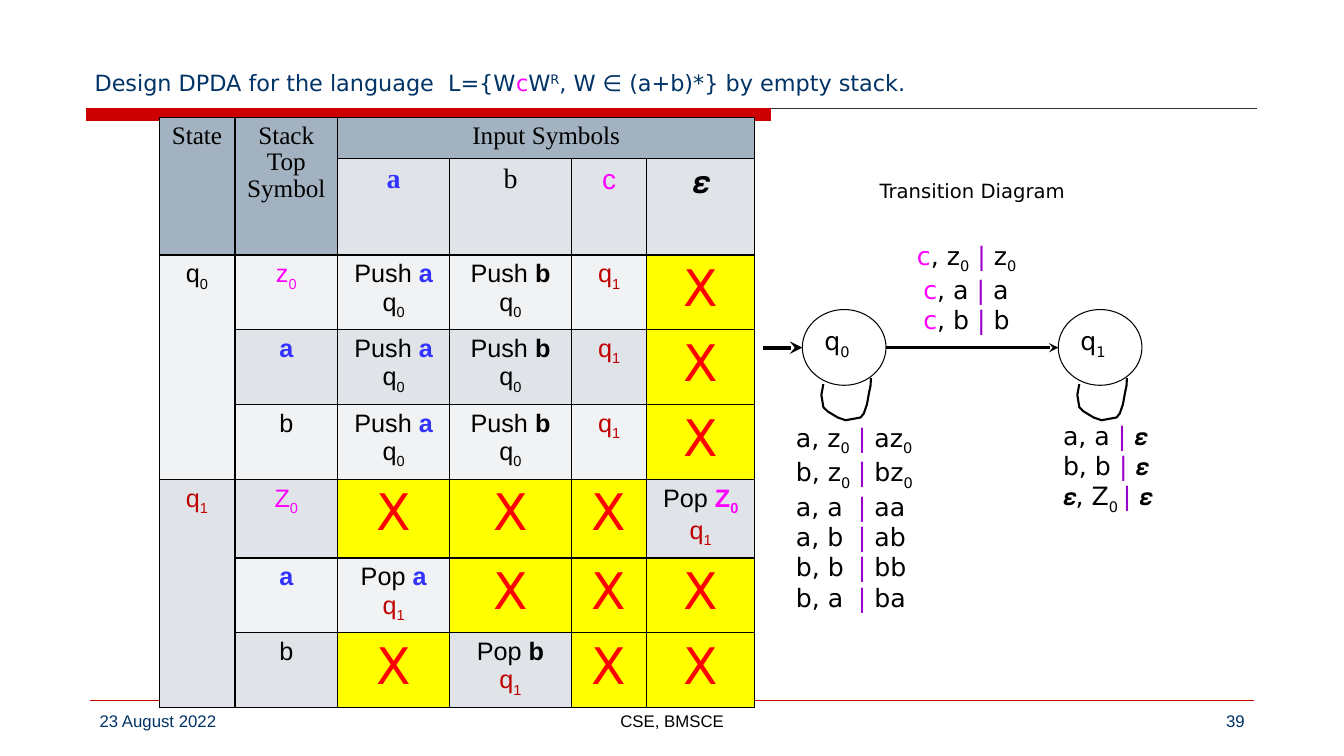
from lxml.etree import SubElement
from pptx import Presentation
from pptx.dml.color import RGBColor
from pptx.enum.shapes import MSO_CONNECTOR, MSO_SHAPE
from pptx.enum.text import MSO_ANCHOR, MSO_AUTO_SIZE, PP_ALIGN
from pptx.oxml.ns import qn
from pptx.util import Cm, Pt

SANS, ARIAL, SERIF = "DejaVu Sans", "Arial", "Times New Roman"
BLACK, NAVY, RED, PINK = "000000", "003366", "CC0000", "FF00FF"
BLUE, CRIMSON, PURPLE, CROSS_RED = "3333FF", "C00000", "9900CC", "FF0000"
HEADER, DARK_BAND, LIGHT_BAND, YELLOW = "A3B2C1", "E0E4E9", "F0F2F4", "FFFF00"


def rgb(value):
    return RGBColor.from_string(value)


def text(words, **style):
    """Pair words with their format: font, size, color, bold, shift (percent)."""
    return words, style


def indexed(letter, index, **style):
    """Letter followed by a subscript."""
    return [text(letter, **style), text(index, shift=-25, **style)]


class SlideBuilder:
    def __init__(self, slide, font=SANS, size=18, color=BLACK):
        self.slide = slide
        self.style = dict(font=font, size=size, color=color, bold=False, shift=0)

    def fill_text(self, frame, paragraphs, align=PP_ALIGN.LEFT, tab=None, spacing=None, **style):
        frame.word_wrap = True
        for number, runs in enumerate(paragraphs):
            paragraph = frame.paragraphs[0] if number == 0 else frame.add_paragraph()
            paragraph.alignment = align
            if spacing:
                paragraph.line_spacing = spacing
            if tab:
                stops = SubElement(paragraph._p.get_or_add_pPr(), qn("a:tabLst"))
                SubElement(stops, qn("a:tab"), pos=str(Cm(tab)), algn="l")
            for words, own in runs:
                look = {**self.style, **style, **own}
                run = paragraph.add_run()
                run.text = words
                run.font.name, run.font.size = look["font"], Pt(look["size"])
                run.font.bold = look["bold"]
                run.font.color.rgb = rgb(look["color"])
                if look["shift"]:
                    run.font._element.set("baseline", str(look["shift"] * 1000))

    def title(self, left, top, width, height, runs, **style):
        title = self.slide.shapes.title
        title.left, title.top, title.width, title.height = map(Cm, (left, top, width, height))
        title.text_frame.vertical_anchor = MSO_ANCHOR.BOTTOM
        title.text_frame.auto_size = MSO_AUTO_SIZE.NONE
        self.fill_text(title.text_frame, [runs], **style)

    def label(self, left, top, width, height, paragraphs, **style):
        box = self.slide.shapes.add_textbox(*map(Cm, (left, top, width, height)))
        self.fill_text(box.text_frame, paragraphs, **style)

    def shape(self, kind, left, top, width, height, line, fill=None):
        shape = self.slide.shapes.add_shape(kind, *map(Cm, (left, top, width, height)))
        self.outline(shape, line, 0.75, fill)
        return shape

    def outline(self, shape, line, weight, fill=None):
        shape.shadow.inherit = False
        shape.line.color.rgb, shape.line.width = rgb(line), Pt(weight)
        if fill:
            shape.fill.solid()
            shape.fill.fore_color.rgb = rgb(fill)
        else:
            shape.fill.background()

    def line(self, start, end, y, color, weight=0.75, arrow=False):
        line = self.slide.shapes.add_connector(
            MSO_CONNECTOR.STRAIGHT, Cm(start), Cm(y), Cm(end), Cm(y))
        line.line.color.rgb, line.line.width = rgb(color), Pt(weight)
        if arrow:
            SubElement(line.line._get_or_add_ln(), qn("a:tailEnd"), type="stealth")
        SubElement(line._element.spPr, qn("a:effectLst"))

    def outline_path(self, left, top, points, weight):
        corners = [(Cm(left + x), Cm(top + y)) for x, y in points]
        builder = self.slide.shapes.build_freeform(*corners[0])
        builder.add_line_segments(corners[1:], close=False)
        self.outline(builder.convert_to_shape(), BLACK, weight)

    def table(self, left, top, widths, heights):
        table = self.slide.shapes.add_table(
            len(heights), len(widths), Cm(left), Cm(top),
            Cm(sum(widths)), Cm(sum(heights))).table
        table.first_row = table.horz_banding = False
        for column, width in zip(table.columns, widths):
            column.width = Cm(width)
        for row, height in zip(table.rows, heights):
            row.height = Cm(height)
        for cell in table.iter_cells():
            properties = cell._tc.get_or_add_tcPr()
            for side in ("a:lnL", "a:lnR", "a:lnT", "a:lnB"):
                border = SubElement(properties, qn(side), w=str(Pt(1)))
                SubElement(SubElement(border, qn("a:solidFill")), qn("a:srgbClr"), val=BLACK)
        return table

    def cell(self, cell, paragraphs, fill, **style):
        cell.fill.solid()
        cell.fill.fore_color.rgb = rgb(fill)
        self.fill_text(cell.text_frame, paragraphs, align=PP_ALIGN.CENTER, **style)


EPSILON = text("𝞮", font=SERIF)
BAR = text("|", color=PURPLE)
BOLD_A, BOLD_B = text("a", color=BLUE, bold=True), text("b", bold=True)
BOLD_Z0 = indexed("Z", "0", color=PINK, bold=True)
TO_Q1 = indexed("q", "1", color=CRIMSON)
PUSH_A, PUSH_B = ([[text("Push "), symbol], indexed("q", "0")] for symbol in (BOLD_A, BOLD_B))
POP_A, POP_B, POP_Z0 = (
    [[text("Pop "), *symbol], TO_Q1] for symbol in ([BOLD_A], [BOLD_B], BOLD_Z0))
MOVE, REJECT = [TO_Q1], None
PUSH_ROW = [PUSH_A, PUSH_B, MOVE, REJECT]

# Stack top, then the action for a, b, c and the empty input
TRANSITIONS = [
    [[indexed("z", "0", color=PINK)], *PUSH_ROW],
    [[[BOLD_A]], *PUSH_ROW],
    [[[text("b")]], *PUSH_ROW],
    [[indexed("Z", "0", color=PINK)], REJECT, REJECT, REJECT, POP_Z0],
    [[[BOLD_A]], POP_A, REJECT, REJECT, REJECT],
    [[[text("b")]], REJECT, POP_B, REJECT, REJECT],
]
LOOP = [(0.53, 1.88), (0.48, 2.15), (0.53, 2.46), (0.64, 2.57), (0.89, 2.72),
        (1.09, 2.79), (1.37, 2.74), (1.47, 2.72), (1.55, 2.62), (1.63, 2.39),
        (1.68, 2.11), (1.72, 1.92), (1.73, 1.73)]


def add_transition_table(page):
    table = page.table(4.01, 2.97, [1.91, 2.59, 2.82, 3.07, 1.9, 2.72],
                       [1.03, 2.37] + [1.88] * 4 + [1.78] * 2)
    for first, last in (((0, 0), (1, 0)), ((0, 1), (1, 1)), ((0, 2), (0, 5)),
                        ((2, 0), (4, 0)), ((5, 0), (7, 0))):
        table.cell(*first).merge(table.cell(*last))
    for column, heading in enumerate((["State"], ["Stack Top", "Symbol"], ["Input Symbols"])):
        page.cell(table.cell(0, column), [[text(words)] for words in heading],
                  HEADER, font=SERIF, spacing=0.95)
    symbols = (BOLD_A, text("b"), text("c", font=ARIAL, color=PINK), text("𝞮", size=24))
    for column, symbol in enumerate(symbols, 2):
        page.cell(table.cell(1, column), [[symbol]], DARK_BAND, font=SERIF, size=20)
    page.cell(table.cell(2, 0), [indexed("q", "0")], LIGHT_BAND, font=ARIAL)
    page.cell(table.cell(5, 0), [TO_Q1], DARK_BAND, font=ARIAL)
    for row, actions in enumerate(TRANSITIONS, 2):
        band = DARK_BAND if row % 2 else LIGHT_BAND
        for column, action in enumerate(actions, 1):
            cell = table.cell(row, column)
            if action is REJECT:
                page.cell(cell, [[text("X")]], YELLOW, size=36, color=CROSS_RED)
            else:
                page.cell(cell, action, band, font=ARIAL)


def add_transition_diagram(page):
    page.label(21.89, 4.39, 5.23, 0.86, [[text("Transition Diagram")]],
               size=14, align=PP_ALIGN.CENTER)
    for index, left in (("0", 20.22), ("1", 26.67)):
        state = page.shape(MSO_SHAPE.OVAL, left, 7.8, 2.11, 1.91, BLACK)
        state.text_frame.vertical_anchor = MSO_ANCHOR.TOP
        page.fill_text(state.text_frame, [indexed("q", index)])
        page.outline_path(left, 7.8, LOOP, 1.5)
    page.line(19.23, 20.22, 8.76, BLACK, 3, arrow=True)
    page.line(22.33, 26.67, 8.76, BLACK, 2.25, arrow=True)

    pink_c, narrow_space = text("c", color=PINK), text(" ", font=SERIF)
    page.label(22.86, 5.92, 3.28, 2.57, [
        [pink_c, *indexed(", z", "0"), text(" "), BAR, *indexed(" z", "0")],
        *([narrow_space, pink_c, text(f", {top} "), BAR, text(f" {top}")] for top in "ab")])
    page.label(19.81, 10.52, 3.73, 4.88, [
        *([*indexed(f"{read}, z", "0"), text("\t"), BAR, *indexed(f" {read}z", "0")]
          for read in "ab"),
        *([text(f"{read}, {top}\t"), BAR, text(f" {read}{top}")]
          for read, top in ("aa", "ab", "bb", "ba"))], tab=1.56)
    page.label(26.54, 10.46, 3.1, 2.57, [
        *([text(f"{read}, {read} "), BAR, text(" "), EPSILON] for read in "ab"),
        [EPSILON, *indexed(", Z", "0"), text(" ", shift=-25), BAR, text(" "), EPSILON]])


def main():
    deck = Presentation()
    deck.slide_width, deck.slide_height = Cm(33.87), Cm(19.05)
    page = SlideBuilder(deck.slides.add_slide(deck.slide_layouts[5]))
    page.line(2.18, 31.67, 2.74, "333333")
    page.shape(MSO_SHAPE.RECTANGLE, 2.18, 2.74, 17.25, 0.3, RED, RED)
    page.line(2.26, 31.6, 17.65, RED)
    page.title(2.13, 0.43, 29.64, 2.11, [
        text("Design DPDA for the language  L={W"), text("c", color=PINK), text("W"),
        text("R", shift=30), text(", W ∈ (a+b)*} by empty stack.")], size=16, color=NAVY)
    for left, width, words, align, color in (
            (2.26, 7.34, "23 August 2022", PP_ALIGN.LEFT, NAVY),
            (11.58, 10.72, "CSE, BMSCE", PP_ALIGN.CENTER, BLACK),
            (24.28, 7.34, "39", PP_ALIGN.RIGHT, NAVY)):
        page.label(left, 17.78, width, 0.89, [[text(words)]],
                   align=align, font=ARIAL, size=12, color=color)
    add_transition_table(page)
    add_transition_diagram(page)
    deck.save("out.pptx")


if __name__ == "__main__":
    main()
